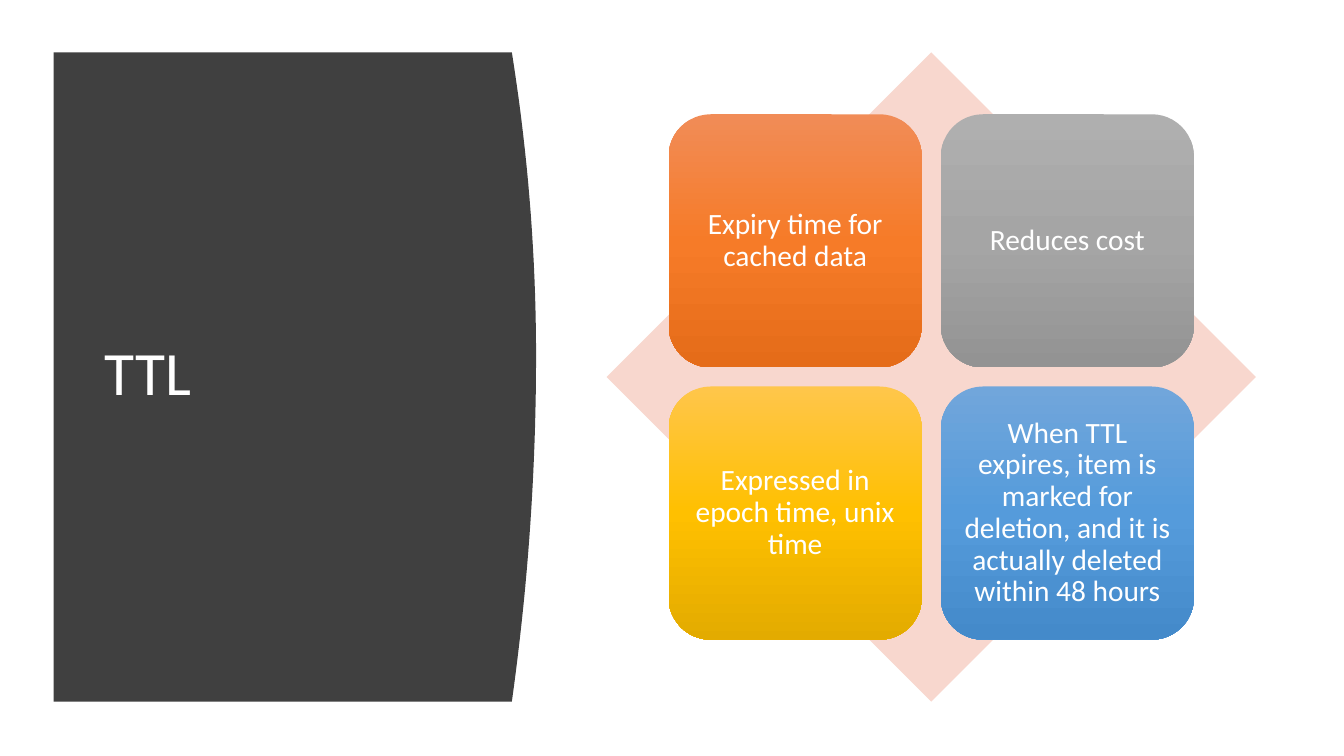
from dataclasses import dataclass

from lxml.etree import SubElement
from pptx import Presentation
from pptx.dml.color import RGBColor
from pptx.enum.shapes import MSO_SHAPE
from pptx.enum.text import MSO_ANCHOR, PP_ALIGN
from pptx.oxml.ns import qn
from pptx.shapes.autoshape import Shape
from pptx.shapes.shapetree import GroupShapes, SlideShapes
from pptx.text.text import TextFrame
from pptx.util import Cm, Pt

FONT = "Calibri"
WHITE = RGBColor(0xFF, 0xFF, 0xFF)
CHARCOAL = RGBColor(0x40, 0x40, 0x40)
BLUSH = RGBColor(0xF8, 0xD7, 0xCE)
ORANGES = (RGBColor(0xF1, 0x8C, 0x57), RGBColor(0xF6, 0x7B, 0x28), RGBColor(0xE5, 0x6C, 0x19))
GREYS = (RGBColor(0xAF, 0xAF, 0xAF), RGBColor(0xA5, 0xA5, 0xA5), RGBColor(0x93, 0x93, 0x93))
GOLDS = (RGBColor(0xFF, 0xC6, 0x4B), RGBColor(0xFF, 0xC0, 0x00), RGBColor(0xE3, 0xAB, 0x00))
BLUES = (RGBColor(0x71, 0xA6, 0xDB), RGBColor(0x55, 0x9B, 0xDB), RGBColor(0x44, 0x8A, 0xCA))

# Layout in centimetres
TOP, BOTTOM = 1.32, 17.68
PANEL_LEFT, PANEL_EDGE, PANEL_BULGE, BULGE_Y = 1.35, 12.9, 13.51, 8.97
CURVE_STEPS = 40
DIAMOND_LEFT, DIAMOND_SIZE = 15.29, BOTTOM - TOP
CARD_SIZE, CARD_GAP, CARD_INSET = 6.38, 0.48, 0.23


@dataclass(frozen=True)
class Card:
    text: str
    shades: tuple[RGBColor, RGBColor, RGBColor]
    column: int
    row: int


CARDS = (
    Card("Expiry time for cached data", ORANGES, 0, 0),
    Card("Reduces cost", GREYS, 1, 0),
    Card("Expressed in epoch time, unix time", GOLDS, 0, 1),
    Card("When TTL expires, item is marked for deletion, and it is actually "
         "deleted within 48 hours", BLUES, 1, 1),
)


def write_text(frame: TextFrame, text: str, size: int, align: PP_ALIGN) -> None:
    frame.word_wrap = True
    frame.vertical_anchor = MSO_ANCHOR.MIDDLE
    para = frame.paragraphs[0]
    para.alignment = align
    para.line_spacing = 0.9
    span = para.add_run()
    span.text = text
    span.font.name = FONT
    span.font.size = Pt(size)
    span.font.color.rgb = WHITE


def fill_plain(shape: Shape, color: RGBColor) -> None:
    shape.shadow.inherit = False
    shape.fill.solid()
    shape.fill.fore_color.rgb = color
    shape.line.fill.background()


def fill_gradient(shape: Shape, shades: tuple[RGBColor, ...]) -> None:
    shape.shadow.inherit = False
    shape.line.fill.background()
    shape.fill.gradient()
    shape.fill.gradient_angle = 270
    stops = shape.element.spPr.find(qn("a:gradFill")).find(qn("a:gsLst"))
    for stop in list(stops):
        stops.remove(stop)
    for index, shade in enumerate(shades):
        stop = SubElement(stops, qn("a:gs"), pos=str(index * 50000))
        SubElement(stop, qn("a:srgbClr"), val=str(shade))


def bulge_x(y: float) -> float:
    reach = BULGE_Y - TOP if y < BULGE_Y else BOTTOM - BULGE_Y
    return PANEL_BULGE - (PANEL_BULGE - PANEL_EDGE) * ((y - BULGE_Y) / reach) ** 2


def draw_panel(shapes: SlideShapes) -> None:
    heights = [TOP + (BOTTOM - TOP) * step / CURVE_STEPS for step in range(CURVE_STEPS + 1)]
    outline = [(Cm(bulge_x(y)), Cm(y)) for y in heights]
    outline.append((Cm(PANEL_LEFT), Cm(BOTTOM)))
    builder = shapes.build_freeform(Cm(PANEL_LEFT), Cm(TOP))
    builder.add_line_segments(outline, close=True)
    fill_plain(builder.convert_to_shape(), CHARCOAL)


def draw_card(shapes: GroupShapes, card: Card) -> None:
    pitch = CARD_SIZE + CARD_GAP
    margin = (DIAMOND_SIZE - CARD_SIZE - pitch) / 2
    left = DIAMOND_LEFT + margin + card.column * pitch
    top = TOP + margin + card.row * pitch
    box = shapes.add_shape(MSO_SHAPE.ROUNDED_RECTANGLE, Cm(left), Cm(top),
                           Cm(CARD_SIZE), Cm(CARD_SIZE))
    fill_gradient(box, card.shades)
    frame = box.text_frame
    frame.margin_left = frame.margin_right = Cm(CARD_INSET)
    frame.margin_top = frame.margin_bottom = Cm(CARD_INSET)
    write_text(frame, card.text, 21, PP_ALIGN.CENTER)


def main() -> None:
    deck = Presentation()
    deck.slide_width, deck.slide_height = Cm(33.87), Cm(19.05)
    page = deck.slides.add_slide(deck.slide_layouts[6])

    # Dark panel with the title
    draw_panel(page.shapes)
    title = page.shapes.add_textbox(Cm(2.39), Cm(2.82), Cm(9.5), Cm(13.31))
    write_text(title.text_frame, "TTL", 44, PP_ALIGN.LEFT)

    # Diamond with four cards
    matrix = page.shapes.add_group_shape().shapes
    diamond = matrix.add_shape(MSO_SHAPE.DIAMOND, Cm(DIAMOND_LEFT), Cm(TOP),
                               Cm(DIAMOND_SIZE), Cm(DIAMOND_SIZE))
    fill_plain(diamond, BLUSH)
    for card in CARDS:
        draw_card(matrix, card)

    deck.save("out.pptx")


if __name__ == "__main__":
    main()
